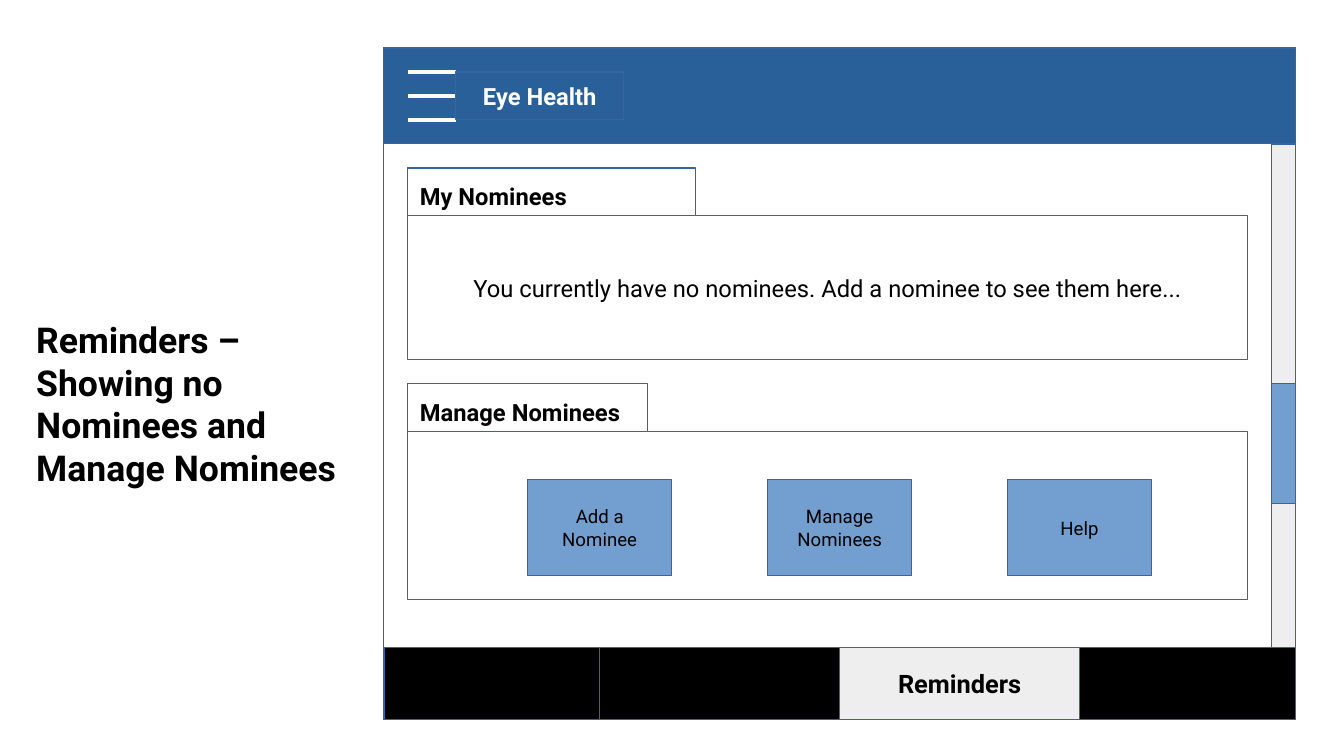
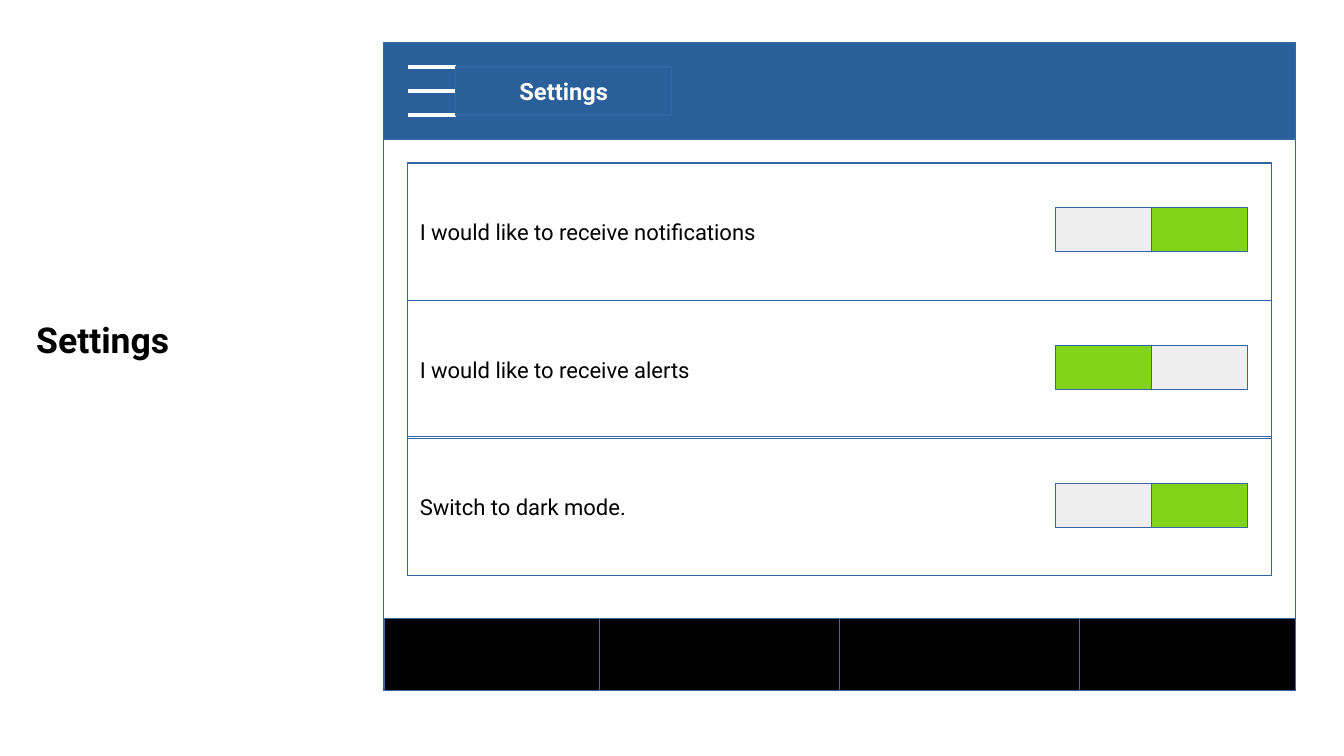
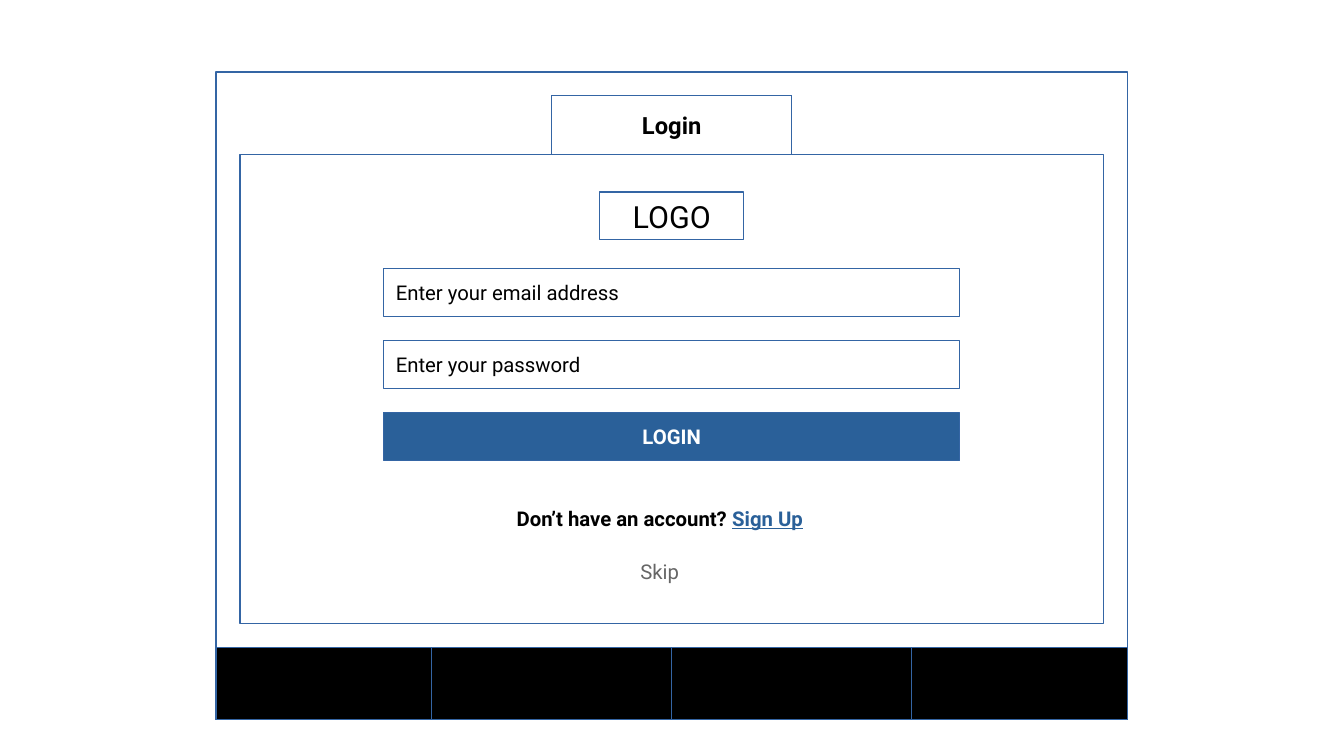
from dataclasses import dataclass
from itertools import accumulate
from typing import Optional

from lxml import etree
from pptx import Presentation
from pptx import util as u
from pptx.dml.color import RGBColor
from pptx.enum import shapes, text
from pptx.oxml.ns import qn

PX = 914400 / 122  # EMU in one px


# Theme: colours, type sizes, shared measures
@dataclass(frozen=True)
class Theme:
    font: str = "Roboto"
    white: str = "FFFFFF"
    black: str = "000000"
    outline: str = "3465A4"
    brand: str = "2A6099"
    button: str = "729FCF"
    pale: str = "EEEEEE"
    on: str = "81D41A"
    muted: str = "666666"
    title_size: int = 21
    logo_size: int = 18
    nav_size: int = 15
    heading_size: int = 14
    option_size: int = 13
    field_size: int = 12
    button_size: int = 11
    header_height: int = 96
    nav_height: int = 72
    nav_widths: tuple[int, ...] = (216, 240, 240, 216)
    grid: int = 24


THEME = Theme()


@dataclass(frozen=True)
class Box:
    left: int
    top: int
    width: int
    height: int

    @property
    def bottom(self) -> int:
        return self.top + self.height


@dataclass(frozen=True)
class Type:
    size: int
    colour: str = THEME.black
    bold: bool = False
    align: text.PP_ALIGN = text.PP_ALIGN.CENTER
    anchor: text.MSO_ANCHOR = text.MSO_ANCHOR.MIDDLE


@dataclass(frozen=True)
class Option:
    label: str
    top: int
    height: int
    grey_half: int  # 0 for left, 1 for right


LEFT = text.PP_ALIGN.LEFT
PAGE_TITLE = Type(THEME.title_size, bold=True, align=LEFT, anchor=text.MSO_ANCHOR.TOP)
APP_NAME = Type(THEME.heading_size, THEME.white, True)
TAB = Type(THEME.heading_size, bold=True, align=LEFT, anchor=text.MSO_ANCHOR.BOTTOM)
LOGIN_TAB = Type(THEME.heading_size, bold=True)
MESSAGE = Type(THEME.heading_size)
NAV = Type(THEME.nav_size, bold=True)
BUTTON = Type(THEME.button_size)
OPTION = Type(THEME.option_size, align=LEFT)
LOGO = Type(THEME.logo_size)
FIELD = Type(THEME.field_size, align=LEFT)
SUBMIT = Type(THEME.field_size, THEME.white, True)
PROMPT = Type(THEME.field_size, bold=True)
SKIP = Type(THEME.field_size, THEME.muted)


# Drawing helpers
def px(length: int) -> u.Emu:
    return u.Emu(round(length * PX))


def paint(shape, fill: Optional[str], line: Optional[str]) -> None:
    if fill:
        shape.fill.solid()
        shape.fill.fore_color.rgb = RGBColor.from_string(fill)
    else:
        shape.fill.background()
    if line:
        shape.line.color.rgb = RGBColor.from_string(line)
        shape.line.width = 0
    else:
        shape.line.fill.background()


def write(shape, words: str, style: Type) -> None:
    frame = shape.text_frame
    frame.text = words
    frame.word_wrap = True
    frame.auto_size = text.MSO_AUTO_SIZE.NONE
    frame.vertical_anchor = style.anchor
    frame.margin_left = frame.margin_right = u.Inches(0.1)
    frame.margin_top = frame.margin_bottom = u.Inches(0.05)
    para = frame.paragraphs[0]
    para.alignment = style.align
    for span in para.runs:
        format_span(span, style)


def format_span(span, style: Type) -> None:
    span.font.name = THEME.font
    span.font.size = u.Pt(style.size)
    span.font.bold = style.bold
    span.font.color.rgb = RGBColor.from_string(style.colour)


def draw_box(page, box: Box, fill: Optional[str] = THEME.white, words: str = "",
             style: Optional[Type] = None, line: Optional[str] = THEME.outline):
    shape = page.shapes.add_shape(
        shapes.MSO_SHAPE.RECTANGLE,
        px(box.left), px(box.top), px(box.width), px(box.height))
    shape.shadow.inherit = False
    paint(shape, fill, line)
    if style:
        write(shape, words, style)
    return shape


def place_title(page, box: Box, words: str, style: Type):
    title = page.shapes.title
    title.left, title.top = px(box.left), px(box.top)
    title.width, title.height = px(box.width), px(box.height)
    write(title, words, style)
    title.element.getparent().append(title.element)  # bring to front
    return title


def draw_menu_icon(page, left: int, top: int) -> None:
    for step in range(3):
        y = px(top + step * THEME.grid)
        bar = page.shapes.add_connector(
            shapes.MSO_CONNECTOR.STRAIGHT, px(left), y, px(left + 48), y)
        bar.line.color.rgb = RGBColor.from_string(THEME.white)
        bar.line.width = u.Pt(2.83)
        etree.SubElement(bar.element.spPr, qn("a:effectLst"))


# Parts the screens share
def draw_header(page, screen: Box, name: str, name_width: int) -> None:
    draw_box(page, Box(screen.left, screen.top, screen.width, THEME.header_height),
             THEME.brand)
    top = screen.top + THEME.grid
    draw_menu_icon(page, screen.left + THEME.grid, top)
    draw_box(page, Box(screen.left + 72, top, name_width, 48), None, name, APP_NAME)


def draw_nav(page, screen: Box, active: Optional[int] = None, label: str = "") -> None:
    top = screen.bottom - THEME.nav_height
    lefts = accumulate(THEME.nav_widths, initial=screen.left)
    for index, (left, width) in enumerate(zip(lefts, THEME.nav_widths)):
        cell = Box(left, top, width, THEME.nav_height)
        if index == active:
            draw_box(page, cell, THEME.pale, label, NAV)
        else:
            draw_box(page, cell, THEME.black)


def draw_switch(page, box: Box, grey_half: int) -> None:
    draw_box(page, box, THEME.on)
    half = box.width // 2
    draw_box(page, Box(box.left + grey_half * half, box.top, half, box.height),
             THEME.pale)


# Slides
def build_reminders(page) -> None:
    screen = Box(384, 48, 912, 672)
    draw_box(page, screen)
    draw_header(page, screen, "Eye Health", 168)

    draw_box(page, Box(408, 216, 840, 144), THEME.white,
             "You currently have no nominees. Add a nominee to see them here...", MESSAGE)
    draw_box(page, Box(408, 432, 840, 168))
    draw_box(page, Box(408, 168, 288, 48), THEME.white, "My Nominees", TAB)
    draw_box(page, Box(408, 384, 240, 48), THEME.white, "Manage Nominees", TAB)
    for index, label in enumerate(("Add a Nominee", "Manage Nominees", "Help")):
        draw_box(page, Box(528 + index * 240, 480, 144, 96), THEME.button, label, BUTTON)

    draw_nav(page, screen, 2, "Reminders")
    # Scroll bar
    draw_box(page, Box(1272, 144, 24, 504), THEME.pale)
    draw_box(page, Box(1272, 384, 24, 120), THEME.button)
    place_title(page, Box(24, 312, 336, 250),
                "Reminders – Showing no Nominees and Manage Nominees", PAGE_TITLE)


def build_settings(page) -> None:
    screen = Box(384, 43, 912, 648)
    draw_box(page, screen)
    draw_header(page, screen, "Settings", 216)
    draw_box(page, Box(408, 163, 864, 413))
    draw_nav(page, screen)

    options = (
        Option("I would like to receive notifications", 163, 138, 0),
        Option("I would like to receive alerts", 301, 138, 1),
        Option("Switch to dark mode.", 437, 139, 0),
    )
    for index, option in enumerate(options):
        draw_box(page, Box(408, option.top, 864, option.height), None,
                 option.label, OPTION)
        draw_switch(page, Box(1056, 208 + index * 138, 192, 44), option.grey_half)
    place_title(page, Box(24, 312, 336, 92), "Settings", PAGE_TITLE)


def build_login(page) -> None:
    screen = Box(216, 72, 912, 648)
    draw_box(page, screen)
    draw_box(page, Box(240, 155, 864, 469))
    draw_nav(page, screen)
    draw_box(page, Box(600, 192, 144, 48), THEME.white, "LOGO", LOGO)

    # Form
    form = (
        ("Enter your email address", THEME.white, FIELD),
        ("Enter your password", THEME.white, FIELD),
        ("LOGIN", THEME.brand, SUBMIT),
    )
    for index, (label, fill, style) in enumerate(form):
        draw_box(page, Box(384, 269 + index * 72, 576, 48), fill, label, style)

    prompt = draw_box(page, Box(408, 495, 504, 48), THEME.white,
                      "Don’t have an account? ", PROMPT, None)
    sign_up = prompt.text_frame.paragraphs[0].add_run()
    sign_up.text = "Sign Up"
    format_span(sign_up, Type(THEME.field_size, THEME.brand, True))
    sign_up.font.underline = True
    draw_box(page, Box(408, 548, 504, 48), THEME.white, "Skip", SKIP, None)

    tab = place_title(page, Box(552, 96, 240, 59), "Login", LOGIN_TAB)
    paint(tab, THEME.white, THEME.outline)


def main() -> None:
    deck = Presentation()
    deck.slide_width, deck.slide_height = u.Inches(11.02), u.Inches(6.2)
    title_only = deck.slide_layouts[5]
    for build in (build_reminders, build_settings, build_login):
        build(deck.slides.add_slide(title_only))
    deck.save("out.pptx")


if __name__ == "__main__":
    main()
